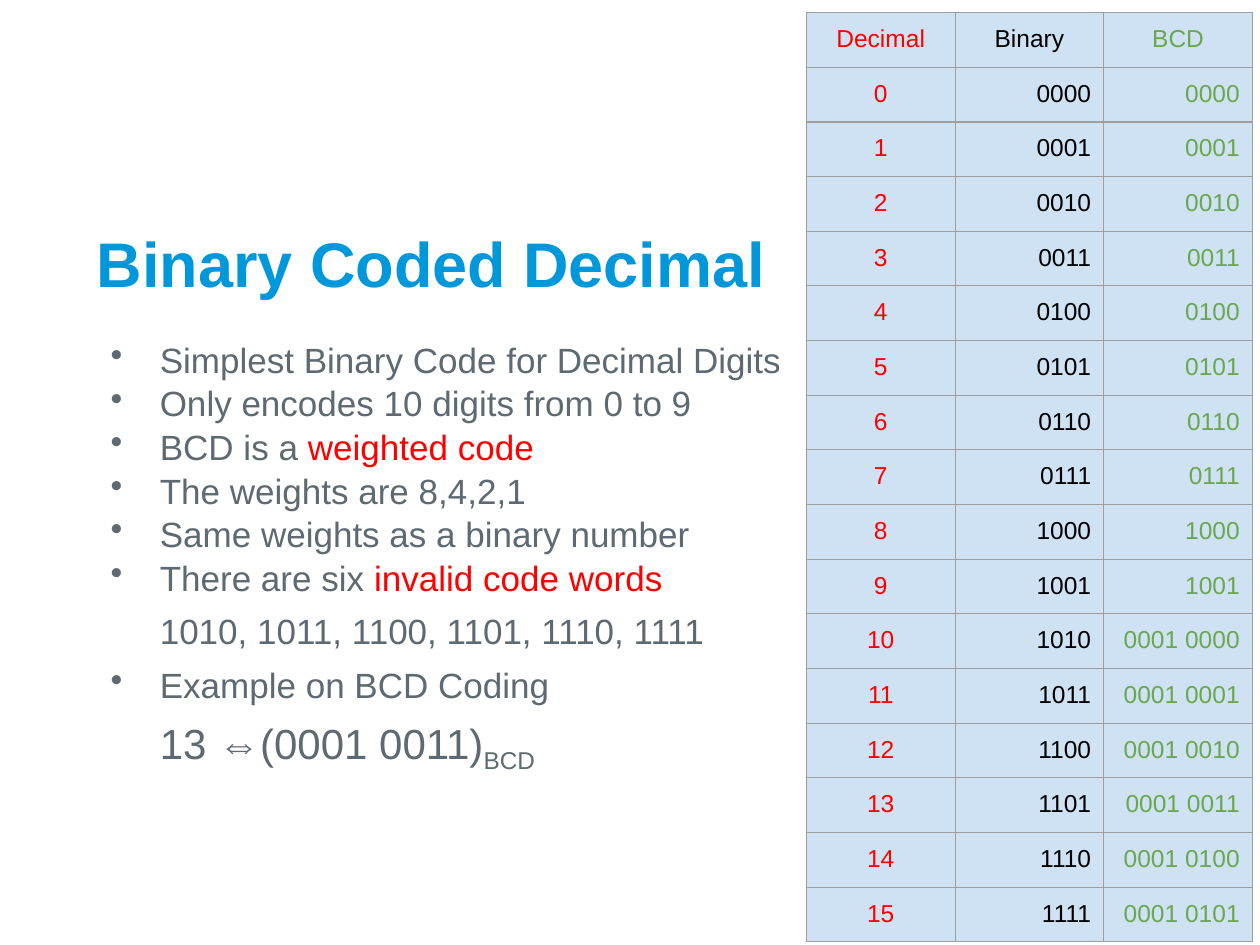
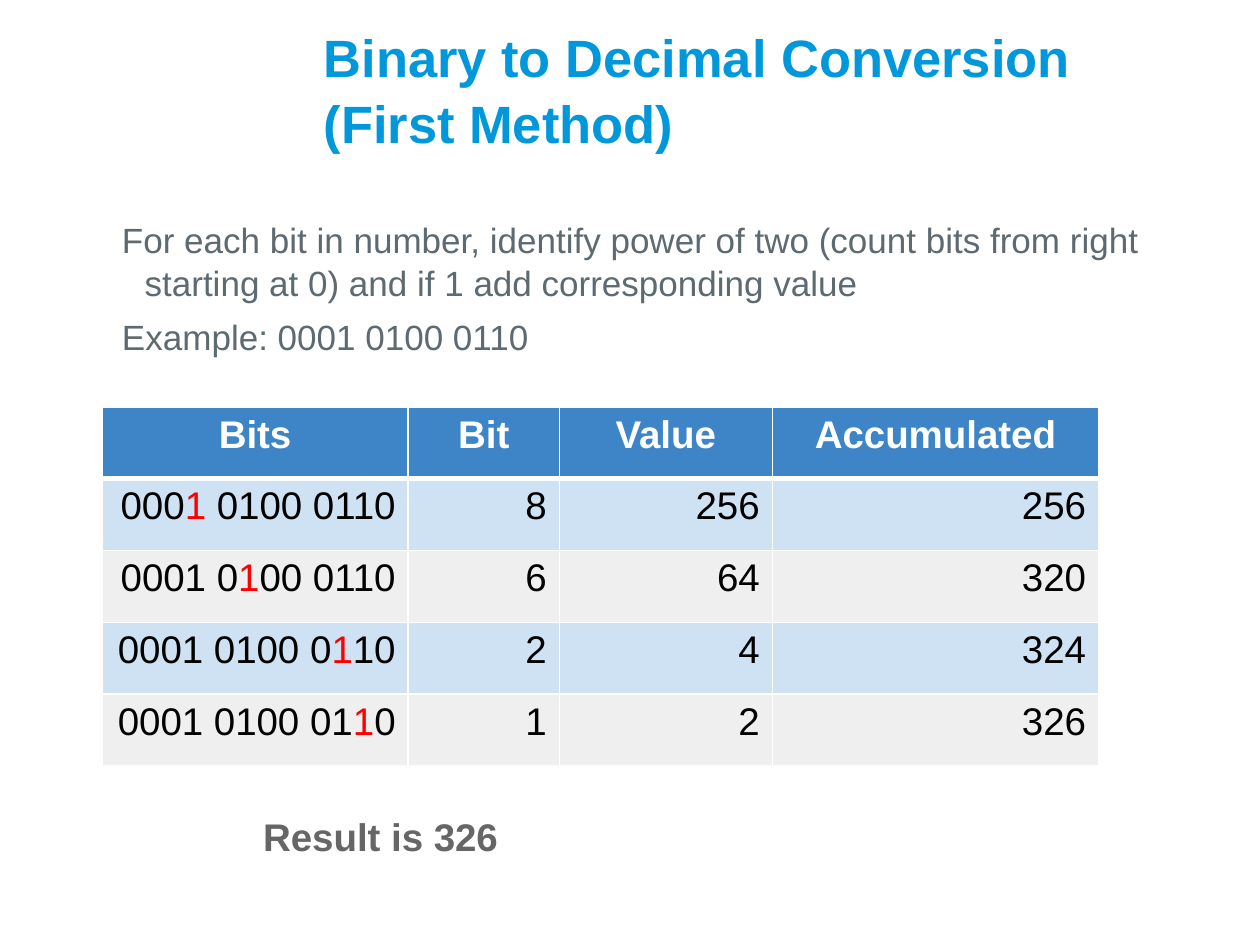
import pptx
import pptx.dml.color
import pptx.enum.text
import pptx.oxml
import pptx.oxml.ns
import pptx.util
import lxml.etree

qn = pptx.oxml.ns.qn
Pt = pptx.util.Pt
ALIGN = pptx.enum.text.PP_ALIGN
ANCHOR = pptx.enum.text.MSO_ANCHOR
FONT = "Arial"
C = {"title": "0098DB", "body": "5E6A71", "red": "FF0000", "green": "6AA84F",
     "black": "000000", "white": "FFFFFF", "result": "666666", "head": "3D85C6",
     "pale": "CFE2F3", "band": "EFEFEF", "rule": "9E9E9E"}

prs = pptx.Presentation()
prs.slide_width = pptx.util.Inches(10)
prs.slide_height = pptx.util.Inches(7.5)
COL = prs.slide_width / 10   # grid of 10 columns
ROW = prs.slide_height / 7.5  # by 7.5 rows
LINE = 1.04                  # line spacing of titles and body text


def add_runs(p, runs, size, bold=False):
    """Each run is (text, colour) or (text, colour, baseline)."""
    for text, color, *baseline in runs:
        r = p.add_run()
        r.text = text
        r.font.name, r.font.size, r.font.bold = FONT, Pt(size), bold
        r.font.color.rgb = pptx.dml.color.RGBColor.from_string(C[color])
        if baseline:
            r.font._element.set("baseline", str(baseline[0] * 1000))


def add_text(s, box, paras, bold=False, anchor=ANCHOR.TOP, line=LINE):
    """Each paragraph is (runs, size, space before, left, hanging, bullet)."""
    x, y, w, h = box
    tf = s.shapes.add_textbox(int(x * COL), int(y * ROW), int(w * COL), int(h * ROW)).text_frame
    tf.word_wrap, tf.vertical_anchor = True, anchor
    tf.margin_left = tf.margin_right = int(0.1 * COL)
    tf.margin_top = tf.margin_bottom = int(0.1 * ROW)
    for i, (runs, size, before, left, hang, bullet) in enumerate(paras):
        p = tf.paragraphs[0] if i == 0 else tf.add_paragraph()
        p.line_spacing, p.space_before = line, Pt(before)
        pPr = p._p.get_or_add_pPr()
        pPr.set("marL", str(int(left * COL)))
        pPr.set("indent", str(int(-hang * COL)))
        if bullet:
            clr = lxml.etree.SubElement(pPr, qn("a:buClr"))
            lxml.etree.SubElement(clr, qn("a:srgbClr"), val=C["body"])
            lxml.etree.SubElement(pPr, qn("a:buChar"), char="•")
        add_runs(p, runs, size, bold)


# Slides and titles
slides = []
for title, size, box in [
        ("Binary Coded Decimal", 36, (0.67, 1.39, 8.83, 1.09)),
        ("Binary to Decimal Conversion (First Method)", 30, (2.47, 0.23, 6.94, 1.09))]:
    s = prs.slides.add_slide(prs.slide_layouts[6])
    add_text(s, box, [([(title, "title")], size, 0, 0, 0, False)], True, ANCHOR.BOTTOM)
    slides.append(s)
bcd, conversion = slides

# Body text
bullets = [[("Simplest Binary Code for Decimal Digits", "body")],
           [("Only encodes 10 digits from 0 to 9", "body")],
           [("BCD is a ", "body"), ("weighted code", "red")],
           [("The weights are 8,4,2,1", "body")],
           [("Same weights as a binary number", "body")],
           [("There are six ", "body"), ("invalid code words", "red")]]
paras = [(runs, 20, 0 if i else 5.6, 0.5, 0.39, True) for i, runs in enumerate(bullets)]
paras += [
    ([("\t1010, 1011, 1100, 1101, 1110, 1111", "body")], 20, 5.6, 0, 0, False),
    ([("Example on BCD Coding", "body")], 20, 5.6, 0.5, 0.39, True),
    ([("\t13 ⇔(0001 0011)", "body"), ("BCD", "body", -25)], 24, 5.6, 0, 0, False)]
add_text(bcd, (0.67, 2.57, 5.73, 4.83), paras)

method = ["For each bit in number, identify power of two (count bits from right "
          "starting at 0) and if 1 add corresponding value",
          "Example: 0001 0100 0110"]
add_text(conversion, (0.67, 1.62, 8.83, 1.67),
         [([(t, "body")], 20, 5.6, 0.38, 0.18, False) for t in method])

# Rows of the code table: every number in binary and digit by digit
codes = [[[("Decimal", "red")], [("Binary", "black")], [("BCD", "green")]]]
for n in range(16):
    digits = " ".join(f"{int(d):04b}" for d in str(n))
    codes.append([[(str(n), "red")], [(f"{n:04b}", "black")], [(digits, "green")]])

# Rows of the conversion table: the bit in use is red, its value is added up
bits, total = "0001 0100 0110", 0
steps = [[[(t, "white")] for t in ("Bits", "Bit", "Value", "Accumulated")]]
for bit in (8, 6, 2, 1):
    total += 2 ** bit
    at = len(bits) - 1 - bit - bit // 4
    steps.append([[(bits[:at], "black"), (bits[at], "red"), (bits[at + 1:], "black")]]
                 + [[(str(v), "black")] for v in (bit, 2 ** bit, total)])

# Tables: slide, place, columns, row height, rows, size, top inset,
# centred columns, fills (header, odd, even), border colour, width, header rule
tables = [
    (bcd, 6.4, 0.1, [1.18] * 3, 0.42, codes, 14, 0.1, 1, ("pale",) * 3, "rule", 0.75, 0.75),
    (conversion, 0.81, 3.23, [2.43, 1.2, 1.69, 2.59], 0.57, steps, 22, 0.05, 0,
     ("head", "pale", "band"), "white", 1, 3)]
for (s, x, y, widths, height, rows, size, inset, centred, fills,
     border, thin, thick) in tables:
    tbl = s.shapes.add_table(len(rows), len(widths), int(x * COL), int(y * ROW),
                             int(sum(widths) * COL), int(len(rows) * height * ROW)).table
    tbl.first_row = tbl.horz_banding = False
    for column, width in zip(tbl.columns, widths):
        column.width = int(width * COL)
    for i, cells in enumerate(rows):
        tbl.rows[i].height = int(height * ROW)
        for j, runs in enumerate(cells):
            cell = tbl.cell(i, j)
            cell.margin_left = cell.margin_right = int(0.1 * COL)
            cell.margin_top = cell.margin_bottom = int(inset * ROW)
            # Borders come before the fill
            for side in "LRTB":
                heavy = (i, side) in ((0, "B"), (1, "T"))
                ln = lxml.etree.SubElement(cell._tc.get_or_add_tcPr(), qn("a:ln" + side),
                                           w=str(Pt(thick if heavy else thin)))
                fill = lxml.etree.SubElement(ln, qn("a:solidFill"))
                lxml.etree.SubElement(fill, qn("a:srgbClr"), val=C[border])
            cell.fill.solid()
            color = fills[0] if i == 0 else fills[2 - i % 2]
            cell.fill.fore_color.rgb = pptx.dml.color.RGBColor.from_string(C[color])
            p = cell.text_frame.paragraphs[0]
            p.alignment = ALIGN.CENTER if i == 0 or j < centred else ALIGN.RIGHT
            add_runs(p, runs, size, i == 0 and fills[0] == "head")

# Result
add_text(conversion, (1.99, 6.35, 2.5, 0.6),
         [([("Result is 326", "result")], 22, 0, 0, 0, False)], True, line=1)

prs.save("out.pptx")
